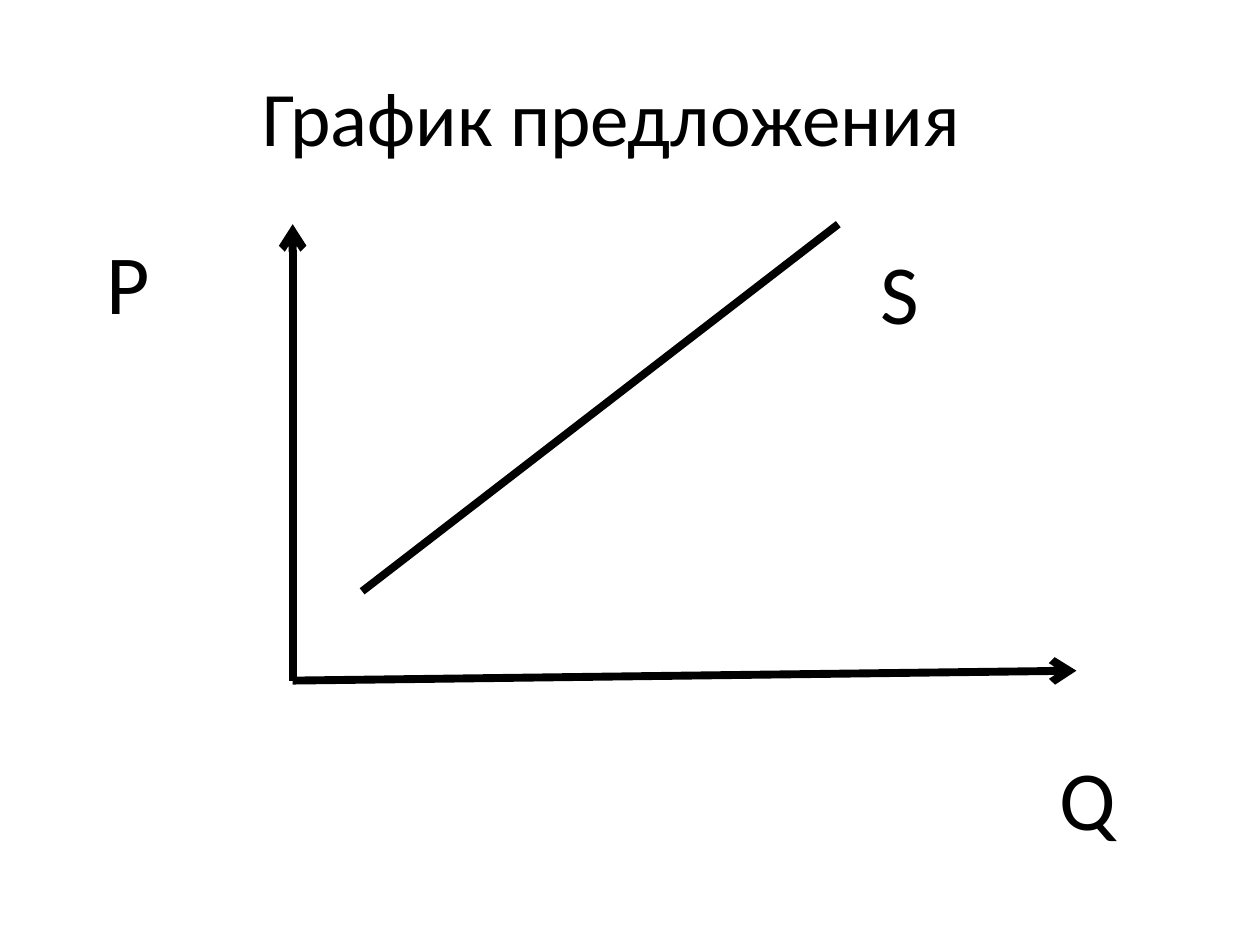
from dataclasses import dataclass

from lxml.etree import SubElement
from pptx import Presentation
from pptx.dml.color import RGBColor
from pptx.enum.shapes import MSO_CONNECTOR as Link
from pptx.enum.text import MSO_ANCHOR as Anchor, MSO_AUTO_SIZE as Fit, PP_ALIGN as Align
from pptx.oxml.ns import qn
from pptx.slide import Slide
from pptx.text.text import TextFrame
from pptx.util import Cm, Pt

BLACK = RGBColor(0, 0, 0)
FONT = "Calibri"


@dataclass
class Line:
    start: tuple[float, float]
    end: tuple[float, float]
    arrow: bool = False


@dataclass
class Label:
    text: str
    left: float
    top: float
    width: float


# Lengths in centimetres
ORIGIN = (5.9, 13.72)
TOP = 4.52
LINES = [
    Line(ORIGIN, (ORIGIN[0], TOP), arrow=True),  # price axis
    Line(ORIGIN, (21.7, 13.52), arrow=True),  # quantity axis
    Line((7.3, 11.92), (16.9, TOP)),  # supply curve
]
LABELS = [
    Label("P", 1.9, TOP, 3.4),
    Label("Q", 21.1, 14.93, 3.6),
    Label("S", 17.5, 4.72, 3.2),
]


def style(frame: TextFrame, size: int) -> None:
    for run in frame.paragraphs[0].runs:
        run.font.name = FONT
        run.font.size = Pt(size)
        run.font.color.rgb = BLACK


def draw_line(slide: Slide, line: Line) -> None:
    ends = [Cm(v) for v in line.start + line.end]
    link = slide.shapes.add_connector(Link.STRAIGHT, *ends)
    link.line.color.rgb = BLACK
    link.line.width = Pt(4.5)
    props = link._element.spPr
    if line.arrow:
        SubElement(props.find(qn("a:ln")), qn("a:tailEnd"), type="arrow")
    SubElement(props, qn("a:effectLst"))


def draw_label(slide: Slide, label: Label) -> None:
    box = slide.shapes.add_textbox(
        Cm(label.left), Cm(label.top), Cm(label.width), Cm(2.31))
    frame = box.text_frame
    frame.word_wrap = True
    frame.auto_size = Fit.SHAPE_TO_FIT_TEXT
    frame.text = label.text
    style(frame, 48)


def main() -> None:
    deck = Presentation()
    deck.slide_width, deck.slide_height = Cm(25.4), Cm(19.05)
    slide = deck.slides.add_slide(deck.slide_layouts[5])

    # Title
    title = slide.shapes.title
    title.left, title.top = Cm(0.9), Cm(0.74)
    title.width, title.height = Cm(22.86), Cm(3.18)
    frame = title.text_frame
    frame.text = "График предложения"
    frame.vertical_anchor = Anchor.MIDDLE
    frame.paragraphs[0].alignment = Align.CENTER
    style(frame, 44)

    # Graph
    for line in LINES:
        draw_line(slide, line)
    for label in LABELS:
        draw_label(slide, label)

    deck.save("out.pptx")


if __name__ == "__main__":
    main()
